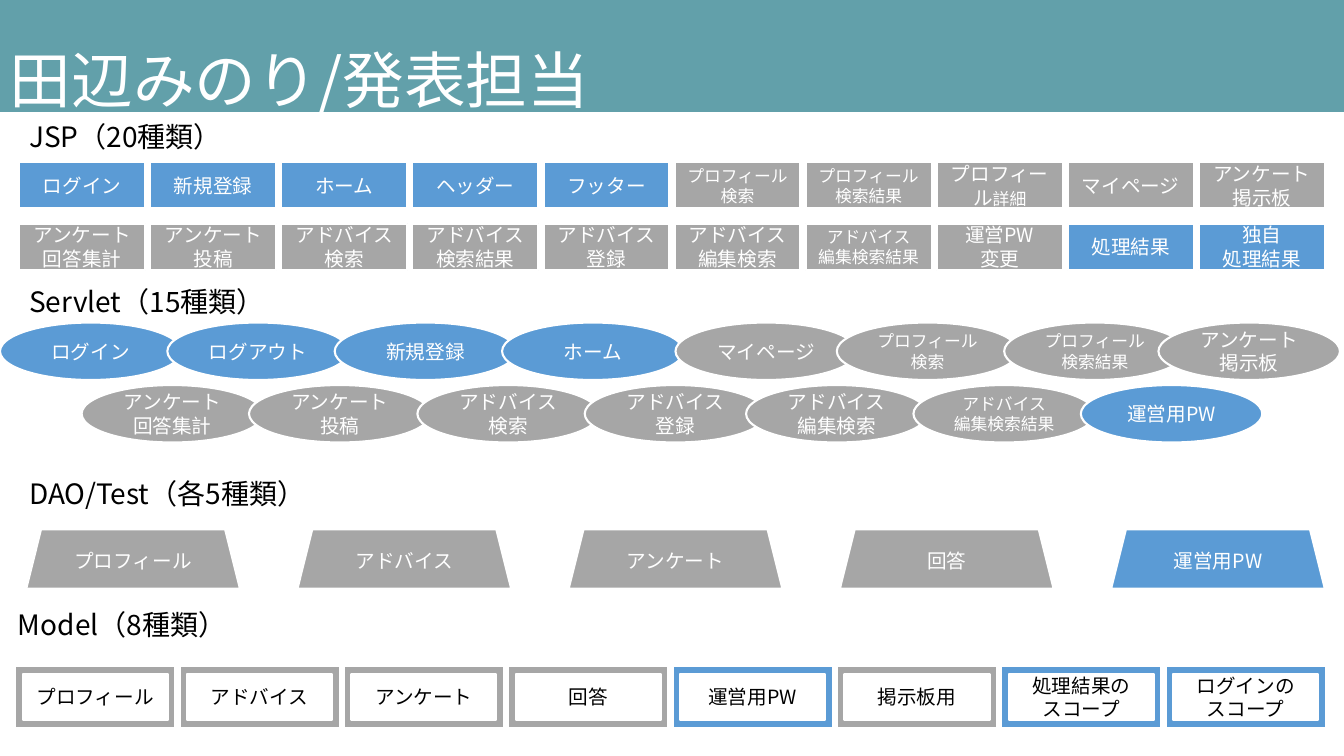
from pptx import Presentation, util as u
from pptx.dml.color import RGBColor
from pptx.enum import shapes, text
from pptx.oxml.ns import qn

WHITE = RGBColor(0xFF, 0xFF, 0xFF)
BLACK = RGBColor(0, 0, 0)
BLUE = RGBColor(0x5B, 0x9B, 0xD5)
GREY = RGBColor(0xA6, 0xA6, 0xA6)
TEAL = RGBColor(0x62, 0xA0, 0xAA)
FONT = "Noto Sans CJK JP"
KIND = shapes.MSO_SHAPE

deck = Presentation()
deck.slide_width, deck.slide_height = u.Inches(13.33), u.Inches(7.5)
slide = deck.slides.add_slide(deck.slide_layouts[6])


def style(frame, size, ink):
    for para in frame.paragraphs:
        for run in para.runs:
            run.font.size = u.Pt(size)
            run.font.name = FONT
            run.font.color.rgb = ink
            east = run.font._element.makeelement(qn("a:ea"), {"typeface": FONT})
            run.font._element.append(east)


def label(words, left, top, wide, high, size, ink):
    box = slide.shapes.add_textbox(*map(u.Inches, (left, top, wide, high)))
    frame = box.text_frame
    frame.word_wrap = True
    frame.auto_size = text.MSO_AUTO_SIZE.SHAPE_TO_FIT_TEXT
    frame.text = words
    style(frame, size, ink)
    return box


# Section headings
for words, left, top, wide in [
    ("JSP（20種類）", 0.19, 1.14, 2.87),
    ("Servlet（15種類）", 0.19, 2.77, 3.59),
    ("DAO/Test（各5種類）", 0.19, 4.68, 4.26),
    ("Model（8種類）", 0.08, 5.98, 3.93),
]:
    label(words, left, top, wide, 0.44, 20, BLACK)

# Rows: kind, lefts, top, width, height, text colour, blue columns, 12 pt columns, names
jsp = [0.19 + 1.3 * i for i in range(10)]
rows = [
    (KIND.RECTANGLE, jsp, 1.61, 1.25, 0.46, WHITE, range(5), (5, 6),
     ["ログイン", "新規登録", "ホーム", "ヘッダー", "フッター", "プロフィール検索",
      "プロフィール検索結果", "プロフィール詳細", "マイページ", "アンケート掲示板"]),
    (KIND.RECTANGLE, jsp, 2.22, 1.25, 0.46, WHITE, (8, 9), (6,),
     ["アンケート回答集計", "アンケート投稿", "アドバイス検索", "アドバイス検索結果",
      "アドバイス登録", "アドバイス編集検索", "アドバイス\n編集検索結果",
      "運営PW\n変更", "処理結果", "独自\n処理結果"]),
    (KIND.OVAL, [0, 1.66, 3.32, 4.98, 6.7, 8.3, 9.96, 11.49], 3.2, 1.8, 0.57,
     WHITE, range(4), (5, 6),
     ["ログイン", "ログアウト", "新規登録", "ホーム", "マイページ",
      "プロフィール検索", "プロフィール検索結果", "アンケート掲示板"]),
    (KIND.OVAL, [0.81, 2.47, 4.14, 5.8, 7.4, 9.06, 10.72], 3.82, 1.8, 0.57,
     WHITE, (6,), (5,),
     ["アンケート回答集計", "アンケート投稿", "アドバイス検索", "アドバイス登録",
      "アドバイス編集検索", "アドバイス\n編集検索結果", "運営用PW"]),
    (KIND.TRAPEZOID, [0.26 + 2.69 * i for i in range(5)], 5.25, 2.12, 0.59,
     WHITE, (4,), (),
     ["プロフィール", "アドバイス", "アンケート", "回答", "運営用PW"]),
    (KIND.FRAME, [0.15 + 1.63 * i for i in range(8)], 6.61, 1.59, 0.61,
     BLACK, (4, 6, 7), (),
     ["プロフィール", "アドバイス", "アンケート", "回答", "運営用PW",
      "掲示板用", "処理結果の\nスコープ", "ログインの\nスコープ"]),
]
for kind, lefts, top, wide, high, ink, blue, small, names in rows:
    for i, (left, name) in enumerate(zip(lefts, names)):
        item = slide.shapes.add_shape(kind, *map(u.Inches, (left, top, wide, high)))
        item.shadow.inherit = False
        item.fill.solid()
        item.fill.fore_color.rgb = BLUE if i in blue else GREY
        item.line.color.rgb = WHITE
        item.line.width = u.Pt(1.5)
        frame = item.text_frame
        frame.word_wrap = True
        frame.vertical_anchor = text.MSO_ANCHOR.MIDDLE
        # The detail page has a smaller second half
        head, detail, _ = name.partition("詳細")
        frame.text = head
        if detail:
            frame.paragraphs[0].add_run().text = detail
        style(frame, 12 if i in small else 14, ink)
        if detail:
            frame.paragraphs[0].runs[1].font.size = u.Pt(12)
        for para in frame.paragraphs:
            para.alignment = text.PP_ALIGN.CENTER

# Title band
band = label("田辺みのり/発表担当", 0, 0, 13.33, 1.11, 44, WHITE)
band.fill.solid()
band.fill.fore_color.rgb = TEAL
band.text_frame.paragraphs[0].line_spacing = 1.5

deck.save("out.pptx")
